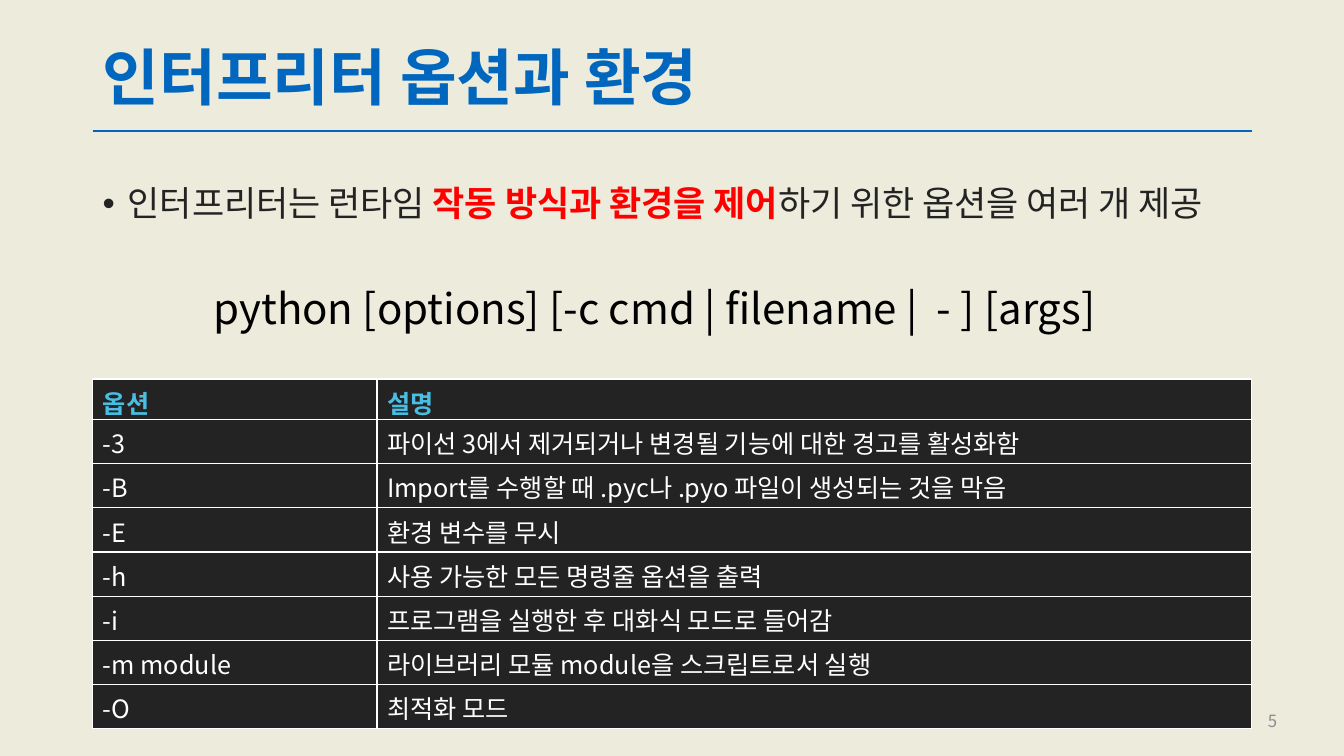
from pptx import Presentation
from pptx.dml.color import RGBColor
from pptx.enum.shapes import MSO_CONNECTOR as Link
from pptx.enum.text import MSO_ANCHOR as Anchor, PP_ALIGN as Align
from pptx.oxml import parse_xml
from pptx.oxml.ns import nsdecls
from pptx.util import Pt

FONT = "Noto Sans CJK KR"
CREAM = RGBColor(0xEC, 0xEB, 0xDC)
BLUE = RGBColor(0x00, 0x66, 0xBE)
CYAN = RGBColor(0x4A, 0xBE, 0xE2)
DARK = RGBColor(0x23, 0x23, 0x23)
GRAY = RGBColor(0x8C, 0x8C, 0x8C)
RED = RGBColor(0xFF, 0x00, 0x00)
BLACK = RGBColor(0x00, 0x00, 0x00)
WHITE = RGBColor(0xFF, 0xFF, 0xFF)

LEFT, WIDTH = 66.24, 828
ROWS = [
    ("옵션", "설명"),
    ("-3", "파이선 3에서 제거되거나 변경될 기능에 대한 경고를 활성화함"),
    ("-B", "Import를 수행할 때 .pyc나 .pyo 파일이 생성되는 것을 막음"),
    ("-E", "환경 변수를 무시"),
    ("-h", "사용 가능한 모든 명령줄 옵션을 출력"),
    ("-i", "프로그램을 실행한 후 대화식 모드로 들어감"),
    ("-m module", "라이브러리 모듈 module을 스크립트로서 실행"),
    ("-O", "최적화 모드"),
]


def xml(tag, attrs="", body=""):
    return parse_xml(f"<a:{tag} {nsdecls('a')} {attrs}>{body}</a:{tag}>")


def add_run(para, text, size, color, bold=False):
    run = para.add_run()
    run.text = text
    style = {"name": FONT, "size": Pt(size), "bold": bold}
    for key, value in style.items():
        setattr(run.font, key, value)
    run.font.color.rgb = color
    run.font._element.append(xml("ea", f'typeface="{FONT}"'))


def set_place(shape, *box):
    for key, value in zip(("left", "top", "width", "height"), box):
        setattr(shape, key, Pt(value))


def add_text(slide, box, anchor=Anchor.TOP):
    """Add a wrapping text box and return its first paragraph."""
    frame = slide.shapes.add_textbox(*map(Pt, box)).text_frame
    frame.word_wrap = True
    frame.vertical_anchor = anchor
    return frame.paragraphs[0]


def add_title(slide, text):
    title = slide.shapes.title
    set_place(title, LEFT, 28.8, WIDTH, 57.6)
    title.text_frame.vertical_anchor = Anchor.MIDDLE
    para = title.text_frame.paragraphs[0]
    para.alignment = Align.LEFT
    para.line_spacing = 0.9
    add_run(para, text, 44, BLUE, True)


def add_rule(slide, top):
    ends = map(Pt, (LEFT, top, LEFT + WIDTH, top))
    rule = slide.shapes.add_connector(Link.STRAIGHT, *ends)
    rule.line.color.rgb = BLUE
    rule.line.width = Pt(1.5)
    rule._element.spPr.append(xml("effectLst"))


def add_bullet(slide, box, parts):
    para = add_text(slide, box)
    para.line_spacing = 0.9
    para.space_before = Pt(10)
    props = para._element.get_or_add_pPr()
    props.set("marL", str(Pt(18)))
    props.set("indent", str(Pt(-18)))
    props.append(xml("buFont", 'typeface="Arial"'))
    props.append(xml("buChar", 'char="•"'))
    for text, color, bold in parts:
        add_run(para, text, 25, color, bold)


def fill_cell(cell, text, color, bold):
    cell.fill.solid()
    cell.fill.fore_color.rgb = DARK
    cell.vertical_anchor = Anchor.MIDDLE
    add_run(cell.text_frame.paragraphs[0], text, 18, color, bold)
    paint = f'<a:solidFill><a:srgbClr val="{WHITE}"/></a:solidFill>'
    for spot, side in enumerate("LRTB"):
        edge = xml(f"ln{side}", f'w="{Pt(1)}"', paint)
        cell._tc.get_or_add_tcPr().insert(spot, edge)


def add_grid(slide, top, widths, heights):
    box = map(Pt, (LEFT, top, sum(widths), sum(heights)))
    grid = slide.shapes.add_table(len(ROWS), len(widths), *box).table
    for col, width in zip(grid.columns, widths):
        col.width = Pt(width)
    for i, (row, height) in enumerate(zip(grid.rows, heights)):
        row.height = Pt(height)
        for cell, text in zip(row.cells, ROWS[i]):
            fill_cell(cell, text, WHITE if i else CYAN, i == 0)


def main():
    deck = Presentation()
    deck.slide_width, deck.slide_height = Pt(960), Pt(540)
    slide = deck.slides.add_slide(deck.slide_layouts[5])
    slide.background.fill.solid()
    slide.background.fill.fore_color.rgb = CREAM

    add_rule(slide, 93.6)
    add_title(slide, "인터프리터 옵션과 환경")
    page = add_text(slide, (703.44, 500.4, 216, 28.8), Anchor.MIDDLE)
    page.alignment = Align.RIGHT
    add_run(page, "5", 12, GRAY)
    usage = add_text(slide, (145.44, 198, 669.6, 43.92))
    add_run(usage, "python [options] [-c cmd | filename |  - ] [args]", 30, BLACK)
    add_bullet(slide, (LEFT, 129.6, WIDTH, 99.36), [
        ("인터프리터는 런타임 ", DARK, False),
        ("작동 방식과 환경을 제어", RED, True),
        ("하기 위한 옵션을 여러 개 제공", DARK, False),
    ])
    add_grid(slide, 270.72, (203.04, 624.96), [28] + [31.6] * 7)
    deck.save("out.pptx")


if __name__ == "__main__":
    main()
